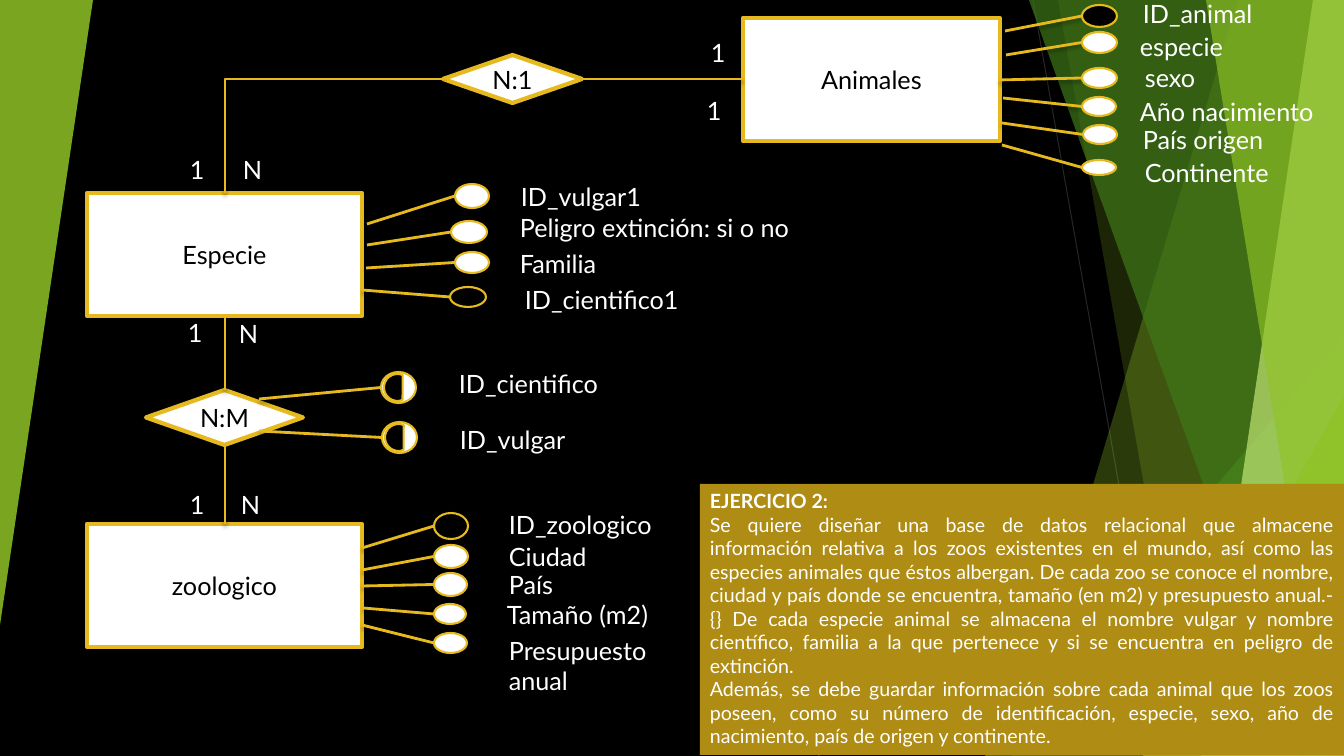
from dataclasses import dataclass

from lxml.etree import SubElement
from pptx import Presentation
from pptx.dml.color import RGBColor
from pptx.enum.shapes import MSO_CONNECTOR as Connector, MSO_SHAPE as Preset
from pptx.enum.text import MSO_ANCHOR as Anchor, PP_ALIGN as Align
from pptx.oxml.ns import qn
from pptx.util import Pt

PIXEL = 914400 / 100.8


@dataclass(frozen=True)
class Theme:
    font: str = "Lato"
    black: str = "000000"
    white: str = "FFFFFF"
    gold: str = "E6B91E"
    ochre: str = "AF8C14"
    hairline: str = "262626"
    lime: str = "90C226"
    green: str = "54A021"
    forest: str = "3F7819"
    pale: str = "C0E474"
    label_size: int = 18
    exercise_size: int = 14


theme = Theme()
presentation = Presentation()
presentation.slide_width = round(1344 * PIXEL)
presentation.slide_height = round(756 * PIXEL)
slide = presentation.slides.add_slide(presentation.slide_layouts[6])
slide.background.fill.solid()
slide.background.fill.fore_color.rgb = RGBColor.from_string(theme.black)


def draw(preset, box, fill=None, line=None, width=1.5, text="", color=theme.white,
         size=theme.label_size, align=Align.LEFT, anchor=Anchor.TOP):
    """Add a preset shape, or a text box when preset is None."""
    place = [round(value * PIXEL) for value in box]
    if preset is None:
        shape = slide.shapes.add_textbox(*place)
    else:
        shape = slide.shapes.add_shape(preset, *place)
        shape.shadow.inherit = False
        shape.fill.solid()
        shape.fill.fore_color.rgb = RGBColor.from_string(fill)
        if line:
            shape.line.color.rgb = RGBColor.from_string(line)
            shape.line.width = Pt(width)
        else:
            shape.line.fill.background()
    if text:
        frame = shape.text_frame
        frame.text = text
        frame.word_wrap, frame.vertical_anchor = True, anchor
        for paragraph in frame.paragraphs:
            paragraph.alignment = align
            font = paragraph.runs[0].font
            for name, value in {"name": theme.font, "size": Pt(size)}.items():
                setattr(font, name, value)
            font.color.rgb = RGBColor.from_string(color)
    return shape


def connect(start, end, color=theme.gold, width=2, shadow=True, kind=Connector.STRAIGHT):
    """Add a connector, with a soft shadow below it if wanted."""
    ends = [round(value * PIXEL) for value in (*start, *end)]
    connector = slide.shapes.add_connector(kind, *ends)
    connector.line.color.rgb = RGBColor.from_string(color)
    connector.line.width = Pt(width)
    effects = SubElement(connector._element.spPr, qn("a:effectLst"))
    if shadow:
        outer = SubElement(effects, qn("a:outerShdw"), blurRad=str(Pt(3)), dist=str(Pt(2)),
                           dir="5400000", rotWithShape="0")
        tint = SubElement(outer, qn("a:srgbClr"), val=theme.black)
        SubElement(tint, qn("a:alpha"), val="35000")
    return connector


# Background hairlines
for start, end in [((1033, 0), (1167, 756)), ((1344, 406), (818, 756))]:
    connect(start, end, theme.hairline, 0.75, shadow=False)

# Translucent panes: (top x, bottom x) of a left edge, or the box of a triangle
panes = [
    ((1238, 1012), theme.lime, 30),
    ((1058, 1192), theme.lime, 20),
    ((985, 336, 359, 420), theme.green, 72),
    ((1029, 1301), theme.forest, 70),
    ((1313, 1201), theme.pale, 70),
    ((1206, 1329), theme.lime, 65),
    ((1143, 396, 201, 360), theme.lime, 80),
    ((0, 0, 93, 625), theme.lime, 85),
]
for outline, color, opacity in panes:
    if len(outline) == 2:
        top, bottom = outline
        builder = slide.shapes.build_freeform(top, 0, scale=PIXEL)
        builder.add_line_segments([(1344, 0), (1344, 756), (bottom, 756)], close=True)
        pane = builder.convert_to_shape()
        pane.shadow.inherit = False
        pane.line.fill.background()
        pane.fill.solid()
        pane.fill.fore_color.rgb = RGBColor.from_string(color)
    else:
        pane = draw(Preset.ISOSCELES_TRIANGLE, outline, color)
        pane.adjustments[0] = 1
        pane.rotation = 180 if outline[0] == 0 else 0
    tint = pane._element.spPr.find(qn("a:solidFill")).find(qn("a:srgbClr"))
    SubElement(tint, qn("a:alpha"), val=str(opacity * 1000))

# Entities and relationships
nodes = [
    (Preset.RECTANGLE, (87, 193, 275, 123), "Especie"),
    (Preset.RECTANGLE, (87, 524, 275, 123), "zoologico"),
    (Preset.RECTANGLE, (743, 18, 257, 123), "Animales"),
    (Preset.FLOWCHART_DECISION, (443, 55, 139, 48), "N:1"),
    (Preset.FLOWCHART_DECISION, (146, 390, 157, 55), "N:M"),
]
for preset, box, name in nodes:
    draw(preset, box, theme.white, theme.gold, 3, name, theme.black,
         align=Align.CENTER, anchor=Anchor.MIDDLE)

# Links between entities and relationships
for start, end in [((582, 79), (743, 79)), ((225, 316), (225, 390)), ((225, 445), (225, 524))]:
    connect(start, end)
elbow = connect((443, 79), (225, 193), kind=Connector.ELBOW)
elbow._element.spPr.find(qn("a:prstGeom")).set("prst", "bentConnector2")

# Cardinalities
cardinalities = [("1", 701, 32), ("1", 697, 90), ("1", 180, 149), ("N", 233, 149),
                 ("1", 180, 484), ("N", 231, 484), ("1", 178, 312), ("N", 229, 313)]
for text, left, top in cardinalities:
    draw(None, (left, top, 52, 40), text=text)

# Attributes: name, mark, link start, oval, label (left, top, width)
attributes = [
    ("ID_animal", "key", (1005, 31), (1082, 5, 35, 22), (1133, -7, 133)),
    ("especie", "plain", (1006, 55), (1082, 32, 35, 21), (1130, 26, 133)),
    ("sexo", "plain", (999, 80), (1082, 68, 35, 20), (1135, 57, 144)),
    ("Año nacimiento", "plain", (1003, 98), (1082, 97, 34, 19), (1130, 91, 214)),
    ("País origen", "plain", (1002, 123), (1083, 125, 34, 19), (1133, 119, 177)),
    ("Continente", "plain", (1002, 145), (1082, 160, 34, 15), (1135, 152, 177)),
    ("ID_vulgar1", "plain", (367, 224), (455, 184, 34, 24), (511, 176, 173)),
    ("Peligro extinción: si o no", "plain", (367, 245), (451, 221, 36, 22), (510, 207, 299)),
    ("Familia", "plain", (366, 268), (455, 252, 34, 21), (510, 243, 133)),
    ("ID_cientifico1", "key", (362, 290), (450, 287, 36, 20), (515, 279, 181)),
    ("ID_cientifico", "half", (259, 399), (381, 372, 35, 31), (449, 363, 181)),
    ("ID_vulgar", "half", (259, 431), (382, 422, 35, 31), (450, 419, 185)),
    ("ID_zoologico", "key", (362, 548), (434, 513, 34, 26), (499, 504, 185)),
    ("Ciudad", "plain", (362, 570), (434, 545, 34, 23), (499, 536, 133)),
    ("País", "plain", (362, 586), (434, 573, 33, 23), (499, 564, 133)),
    ("Tamaño (m2)", "plain", (363, 608), (434, 604, 32, 20), (497, 594, 171)),
    ("Presupuesto anual", "plain", (362, 625), (434, 633, 33, 20), (499, 630, 204)),
]
for name, mark, start, oval, label in attributes:
    left, top, width, height = oval
    connect(start, (left, top + height / 2))
    draw(Preset.OVAL, oval, theme.black if mark == "key" else theme.white, theme.gold)
    if mark == "half":
        chord = draw(Preset.CHORD, (left + 3, top + 2, 27, 27), theme.black, theme.gold)
        chord.rotation = 22.9
    draw(None, (*label, 40), text=name)

# Exercise statement
statement = "\n".join([
    "EJERCICIO 2:",
    "Se quiere diseñar una base de datos relacional que almacene información relativa a los "
    "zoos existentes en el mundo, así como las especies animales que éstos albergan. De cada "
    "zoo se conoce el nombre, ciudad y país donde se encuentra, tamaño (en m2) y presupuesto "
    "anual.-{} De cada especie animal se almacena el nombre vulgar y nombre científico, familia "
    "a la que pertenece y si se encuentra en peligro de extinción.",
    "Además, se debe guardar información sobre cada animal que los zoos poseen, como su número "
    "de identificación, especie, sexo, año de nacimiento, país de origen y continente.",
])
exercise = draw(Preset.RECTANGLE, (700, 484, 644, 271), theme.ochre, text=statement,
                size=theme.exercise_size, align=Align.JUSTIFY)
exercise.text_frame.paragraphs[0].runs[0].font.bold = True

presentation.save("out.pptx")
